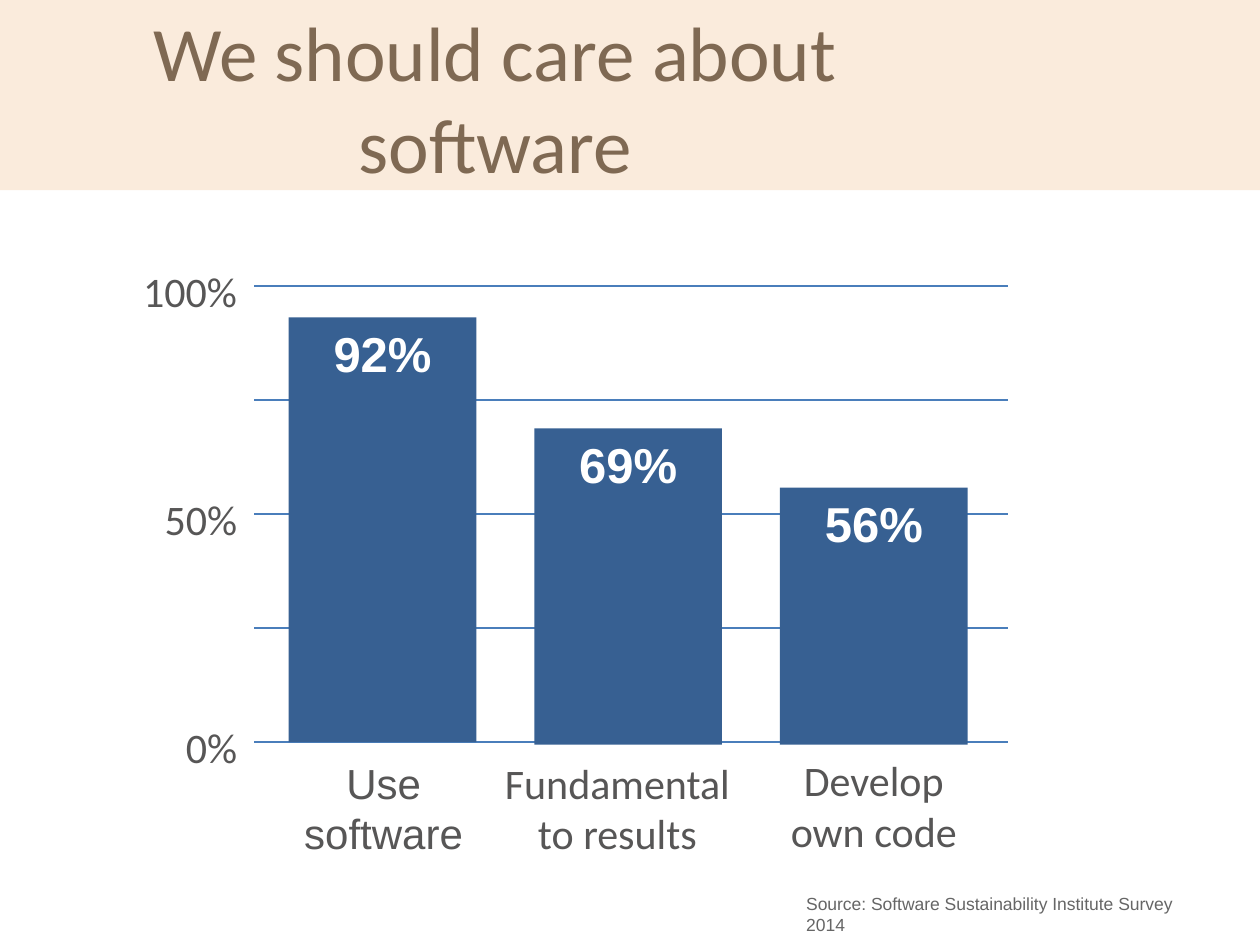
from pptx import Presentation
from pptx.dml.color import RGBColor
from pptx.enum.shapes import MSO_CONNECTOR as Conn, MSO_SHAPE as Shape
from pptx.enum.text import MSO_ANCHOR as Anchor, PP_ALIGN as Align
from pptx.oxml.ns import qn
from pptx.util import Inches, Pt

HUES = {"band": "FAEBDC", "title": "7F6953", "grid": "4A7EBB", "bar": "376092",
        "label": "575656", "value": "FFFFFF", "source": "666666"}
FONTS = {
    "title": {"name": "Calibri", "size": Pt(44)},
    "label": {"name": "Calibri", "size": Pt(24)},
    "value": {"name": "Arial", "size": Pt(28), "bold": True},
    "source": {"name": "Arial", "size": Pt(10)},
}
BARS = [
    ("92%", 0.46, 3.37, "Use software", (1.31, 3.9, 1.73), "Arial"),
    ("69%", 1.34, 2.51, "Fundamental to results", (2.92, 3.9, 2.22), "Calibri"),
    ("56%", 1.81, 2.04, "Develop own code", (5.14, 3.88, 1.85), "Calibri"),
]


def tint(hue):
    """Return the named colour."""
    return RGBColor.from_string(HUES[hue])


def write(shape, text, style, align, anchor=Anchor.TOP, **extra):
    """Fill a shape with one styled paragraph."""
    frame = shape.text_frame
    frame.word_wrap = True
    frame.vertical_anchor = anchor
    para = frame.paragraphs[0]
    para.alignment = align
    run = para.add_run()
    run.text = text
    for key, value in {**FONTS[style], **extra}.items():
        setattr(run.font, key, value)
    run.font.color.rgb = tint(style)


def add_text(slide, box, *args, **extra):
    """Add a text box in the given box."""
    write(slide.shapes.add_textbox(*map(Inches, box)), *args, **extra)


def add_block(slide, box, hue):
    """Add a plain filled rectangle."""
    block = slide.shapes.add_shape(Shape.RECTANGLE, *map(Inches, box))
    block.shadow.inherit = False
    block.fill.solid()
    block.fill.fore_color.rgb = tint(hue)
    block.line.fill.background()
    return block


def add_rule(slide, left, right, top):
    """Add one horizontal grid line."""
    rule = slide.shapes.add_connector(Conn.STRAIGHT, *map(Inches, (left, top, right, top)))
    rule.line.color.rgb = tint("grid")
    rule.line.width = Pt(0.75)
    props = rule._element.spPr
    props.append(props.makeelement(qn("a:effectLst"), {}))


def add_header(slide, x, y, w, h):
    """Add the band and its title."""
    add_block(slide, (x, y, w, h), "band")
    add_text(slide, (x + 0.34, y + 0.14, 7.18, 1.25), "We should care about software",
             "title", Align.CENTER, Anchor.MIDDLE)


def add_bars(slide, x, y, w):
    """Add the grid, scale, bars and bar labels."""
    for i in range(5):
        add_rule(slide, x + 1.15, x + w, y + 0.21 + i * 0.905)
    for i, text in enumerate(("100%", "50%", "0%")):
        add_text(slide, (x, y + i * 1.81, 1.11, 0.5), text, "label", Align.RIGHT)
    for i, (value, top, tall, label, (left, low, wide), face) in enumerate(BARS):
        bar = add_block(slide, (x + 1.42 + i * 1.95, y + top, 1.49, tall), "bar")
        write(bar, value, "value", Align.CENTER)
        add_text(slide, (x + left, y + low, wide, 0.9), label, "label",
                 Align.CENTER, name=face)


def add_source(slide, *box):
    """Add the source note."""
    add_text(slide, box, "Source: Software Sustainability Institute Survey 2014",
             "source", Align.LEFT)


def main():
    """Build and save the slide."""
    deck = Presentation()
    deck.slide_width, deck.slide_height = Inches(10), Inches(7.5)
    slide = deck.slides.add_slide(deck.slide_layouts[6])
    add_header(slide, 0, 0, 10, 1.51)
    add_bars(slide, 0.87, 2.06, 7.13)
    add_source(slide, 6.3, 7.04, 3.43, 0.25)
    deck.save("out.pptx")


if __name__ == "__main__":
    main()
